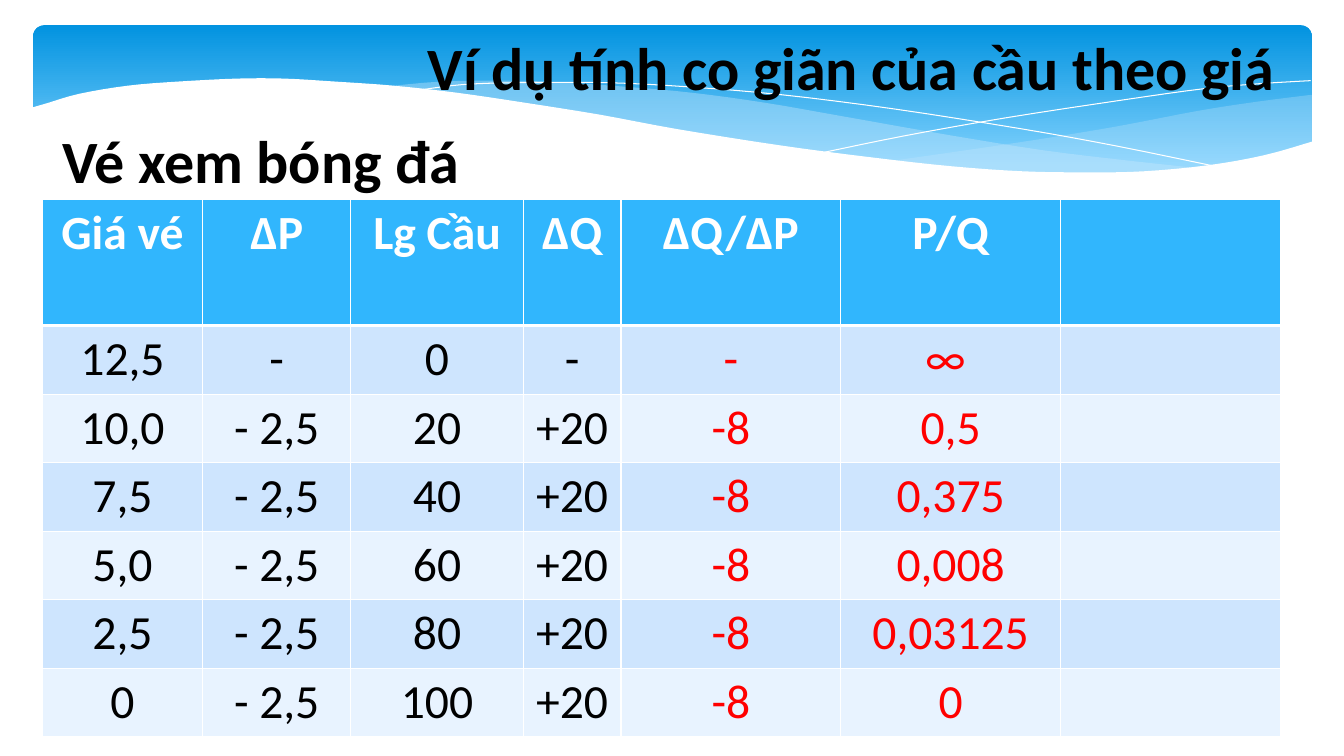
from lxml.etree import SubElement
from pptx import Presentation
from pptx.dml.color import RGBColor
from pptx.enum.shapes import MSO_SHAPE
from pptx.enum.text import MSO_ANCHOR, PP_ALIGN
from pptx.oxml.ns import qn
from pptx.util import Inches, Pt

FONT = "Calibri"
BLACK, WHITE, RED = "000000", "FFFFFF", "FF0000"
HEADER_FILL, BAND_FILLS = "31B6FD", ("CEE5FE", "E8F3FF")
PALE_BLUE = "C6E7FC"

COLUMN_WIDTHS = (1.59, 1.47, 1.71, 0.97, 2.18, 2.18, 2.18)
HEADER_HEIGHT, ROW_HEIGHT = 1.25, 0.68
RED_COLUMNS = (4, 5)
ROWS = (
    ("Giá vé", "∆P", "Lg Cầu", "∆Q", "∆Q/∆P", "P/Q", ""),
    ("12,5", "-", "0", "-", "-", "∞ ", ""),
    ("10,0", "- 2,5", "20", "+20", "-8", "0,5", ""),
    ("7,5", "- 2,5", "40", "+20", "-8", "0,375", ""),
    ("5,0", "- 2,5", "60", "+20", "-8", "0,008", ""),
    ("2,5", "- 2,5", "80", "+20", "-8", "0,03125", ""),
    ("0", "- 2,5", "100", "+20", "-8", "0", ""),
)

RIGHT_WAVE_TOP = ((13.01, 0.94), (12.46, 1.01), (11.88, 1.1), (11.1, 1.25),
                  (10.38, 1.37), (9.72, 1.47), (8.82, 1.6))
RIGHT_WAVE_BOTTOM = ((8.82, 1.6), (9.4, 1.65), (9.93, 1.69), (10.41, 1.72),
                     (10.99, 1.72), (11.51, 1.7), (11.96, 1.65),
                     (12.47, 1.56), (13.01, 1.42))
LONG_WAVE_TOP = ((11.9, 1.67), (11.16, 1.59), (10.34, 1.49), (9.41, 1.34),
                 (8.39, 1.16), (7.59, 1.02), (6.86, 0.92), (6.19, 0.86),
                 (5.6, 0.82), (5.06, 0.8), (4.37, 0.81), (3.82, 0.86))
LONG_WAVE_BOTTOM = ((3.82, 0.86), (4.56, 0.94), (5.39, 1.06), (5.99, 1.16),
                    (7.06, 1.35), (8.02, 1.5), (8.87, 1.61), (9.63, 1.68),
                    (10.3, 1.72), (11.04, 1.73), (11.9, 1.67))
FALLING_LINE = ((4.12, 0.9), (4.58, 0.84), (5.16, 0.82), (6, 0.82),
                (6.8, 0.86), (7.75, 0.94), (8.86, 1.08), (10.14, 1.28),
                (11.08, 1.45), (12.1, 1.66))
RISING_LINE = ((8.18, 1.51), (8.96, 1.35), (9.97, 1.17), (11.15, 0.99),
               (11.94, 0.88), (12.5, 0.83), (13, 0.8))
WHITE_WAVE_TOP = ((13.03, 1.4), (12.54, 1.54), (11.98, 1.64), (11.34, 1.7),
                  (10.78, 1.71), (10.15, 1.7), (9.44, 1.65), (8.63, 1.56),
                  (7.72, 1.44), (6.71, 1.28), (5.96, 1.14), (5.21, 1.02),
                  (4.53, 0.92), (3.9, 0.85), (3.33, 0.81), (2.82, 0.78),
                  (2.35, 0.78), (1.76, 0.81), (1.27, 0.85), (0.79, 0.93),
                  (0.48, 1.02), (0.31, 1.07))
WHITE_WAVE_BASE = [(0.31, 2.24), (13.03, 2.24)]


def color(hex_string):
    """Turn a hex string into a colour."""
    return RGBColor.from_string(hex_string)


def smooth(knots, steps=4):
    """Return points on a Catmull-Rom curve through the knots."""
    padded = (knots[0], *knots, knots[-1])
    points = [knots[0]]
    for a, b, c, d in zip(padded, padded[1:], padded[2:], padded[3:]):
        for step in range(1, steps + 1):
            t = step / steps
            points.append(tuple(
                (2 * q + (r - p) * t + (2 * p - 5 * q + 4 * r - s) * t ** 2
                 + (3 * q - p - 3 * r + s) * t ** 3) / 2
                for p, q, r, s in zip(a, b, c, d)))
    return points


def add_outline(slide, points, close):
    """Draw a freeform through points given in inches."""
    start, *others = [(Inches(x), Inches(y)) for x, y in points]
    builder = slide.shapes.build_freeform(*start)
    builder.add_line_segments(others, close=close)
    shape = builder.convert_to_shape()
    shape.shadow.inherit = False
    return shape


def add_wave(slide, points, fill, opacity=100):
    """Add a filled wave without an edge."""
    shape = add_outline(slide, points, True)
    shape.fill.solid()
    shape.fill.fore_color.rgb = color(fill)
    shape.line.fill.background()
    if opacity < 100:
        fill_color = shape.fill._xPr.find(qn("a:solidFill"))[0]
        SubElement(fill_color, qn("a:alpha"), val=str(opacity * 1000))


def add_curve(slide, knots):
    """Add a white hairline curve."""
    shape = add_outline(slide, smooth(knots), False)
    shape.fill.background()
    shape.line.color.rgb = color(WHITE)
    shape.line.width = Pt(0)


def add_banner(slide):
    """Add the rounded gradient banner."""
    shape = slide.shapes.add_shape(
        MSO_SHAPE.ROUNDED_RECTANGLE,
        Inches(0.33), Inches(0.25), Inches(12.68), Inches(1.56))
    shape.adjustments[0] = 0.07
    shape.shadow.inherit = False
    shape.line.fill.background()
    shape.fill.gradient()
    shape.fill.gradient_angle = 270
    stops = ((0, "0293E0"), (0.9, "83D3FE"))
    for stop, (position, shade) in zip(shape.fill.gradient_stops, stops):
        stop.position = position
        stop.color.rgb = color(shade)


def format_text(paragraph, size, shade, bold):
    """Centre a paragraph and style its runs."""
    paragraph.alignment = PP_ALIGN.CENTER
    for run in paragraph.runs:
        run.font.name = FONT
        run.font.size = Pt(size)
        run.font.bold = bold
        run.font.color.rgb = color(shade)


def add_heading(slide, text, left, top, width):
    """Add a bold heading centred in its box."""
    box = slide.shapes.add_textbox(
        Inches(left), Inches(top), Inches(width), Inches(1))
    text_frame = box.text_frame
    text_frame.word_wrap = True
    text_frame.vertical_anchor = MSO_ANCHOR.MIDDLE
    text_frame.text = text
    format_text(text_frame.paragraphs[0], 42.9, BLACK, True)


def set_borders(cell, top, bottom):
    """Give a cell white borders of the given top and bottom widths."""
    properties = cell._tc.get_or_add_tcPr()
    for side, width in (("L", 1), ("R", 1), ("T", top), ("B", bottom)):
        line = SubElement(properties, qn(f"a:ln{side}"), w=str(Pt(width)))
        fill = SubElement(line, qn("a:solidFill"))
        SubElement(fill, qn("a:srgbClr"), val=WHITE)


def add_demand_table(slide):
    """Add the table of ticket prices and demand."""
    height = HEADER_HEIGHT + ROW_HEIGHT * (len(ROWS) - 1)
    table = slide.shapes.add_table(
        len(ROWS), len(COLUMN_WIDTHS), Inches(0.42), Inches(1.98),
        Inches(sum(COLUMN_WIDTHS)), Inches(height)).table
    for column, width in zip(table.columns, COLUMN_WIDTHS):
        column.width = Inches(width)
    for i, values in enumerate(ROWS):
        header = i == 0
        table.rows[i].height = Inches(HEADER_HEIGHT if header else ROW_HEIGHT)
        for j, value in enumerate(values):
            cell = table.cell(i, j)
            set_borders(cell, 3 if i == 1 else 1, 3 if header else 1)
            cell.fill.solid()
            cell.fill.fore_color.rgb = color(
                HEADER_FILL if header else BAND_FILLS[(i - 1) % 2])
            cell.text_frame.text = value
            body_shade = RED if j in RED_COLUMNS else BLACK
            format_text(cell.text_frame.paragraphs[0], 34,
                        WHITE if header else body_shade, header)


def main():
    """Build the slide and save it."""
    presentation = Presentation()
    presentation.slide_width = Inches(13.33)
    presentation.slide_height = Inches(7.5)
    slide = presentation.slides.add_slide(presentation.slide_layouts[6])
    add_banner(slide)
    add_wave(slide, smooth(RIGHT_WAVE_TOP) + smooth(RIGHT_WAVE_BOTTOM),
             PALE_BLUE, 29)
    add_wave(slide, smooth(LONG_WAVE_TOP) + smooth(LONG_WAVE_BOTTOM),
             PALE_BLUE, 40)
    add_curve(slide, FALLING_LINE)
    add_curve(slide, RISING_LINE)
    add_wave(slide, smooth(WHITE_WAVE_TOP) + WHITE_WAVE_BASE, WHITE)
    add_heading(slide, "Ví dụ tính co giãn của cầu theo giá", 3.25, 0.16, 10.38)
    add_heading(slide, "Vé xem bóng đá", 0, 1.08, 5.17)
    add_demand_table(slide)
    presentation.save("out.pptx")


if __name__ == "__main__":
    main()
